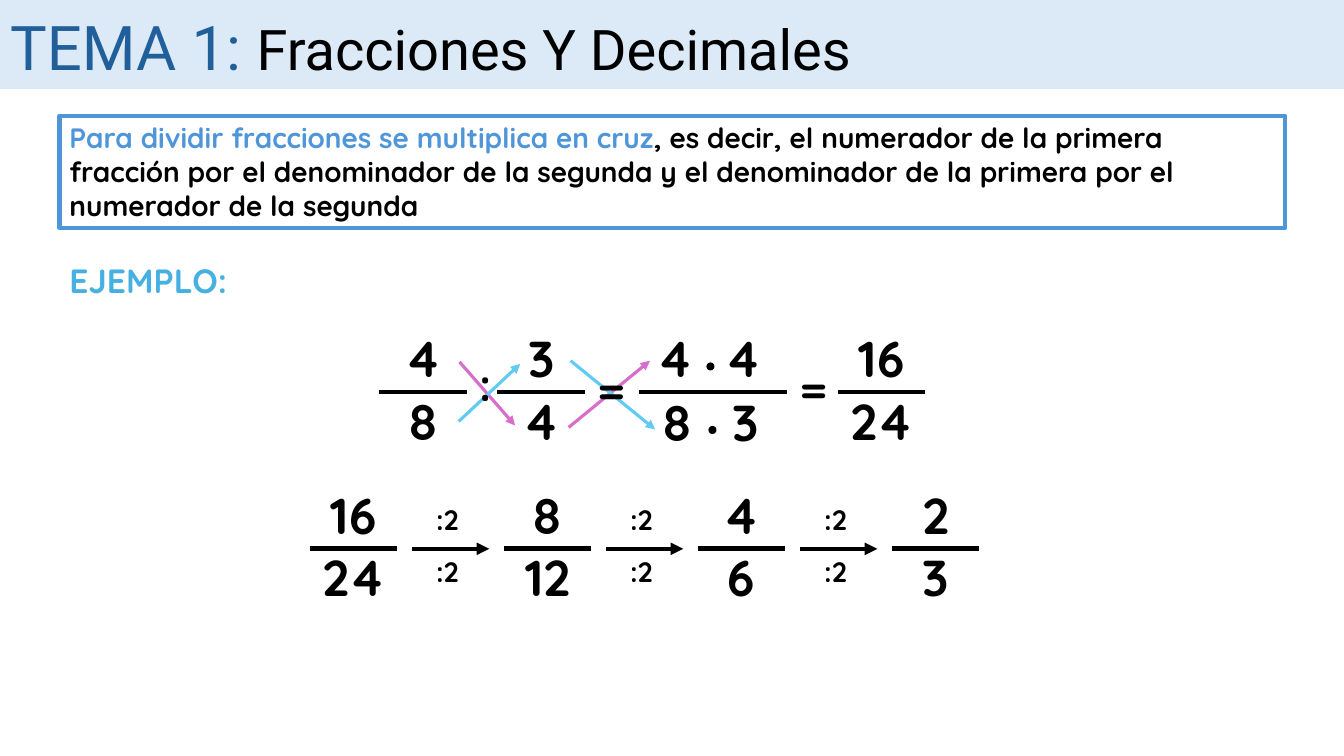
from lxml import etree
from pptx import Presentation
from pptx import util as u
from pptx.dml.color import RGBColor
from pptx.enum import shapes, text
from pptx.oxml.ns import qn

BLACK = "000000"
PINK = "D86ECC"
BLUE = "61CBF4"
BORDER = "4E95D9"


def colour(value):
    return RGBColor.from_string(value)


class Lesson:
    font = "Quicksand"
    number_size = 36
    number_width, number_height = 2.29, 1.8
    bar_drop, denominator_drop = 1.75, 1.57

    def __init__(self, deck):
        self.page = deck.slides.add_slide(deck.slide_layouts[5])

    def shape(self, kind, left, top, width, height, fill=None, line=None, weight=1.5):
        item = self.page.shapes.add_shape(
            kind, u.Cm(left), u.Cm(top), u.Cm(width), u.Cm(height))
        item.shadow.inherit = False
        if fill:
            item.fill.solid()
            item.fill.fore_color.rgb = colour(fill)
        else:
            item.fill.background()
        if line:
            item.line.color.rgb = colour(line)
            item.line.width = u.Pt(weight)
        else:
            item.line.fill.background()
        return item

    def add_spans(self, box, spans, font, align):
        box.text_frame.word_wrap = True
        para = box.text_frame.paragraphs[0]
        para.alignment = align
        for words, size, shade, bold in spans:
            span = para.add_run()
            span.text = words
            span.font.name = font
            span.font.size = u.Pt(size)
            span.font.bold = bold
            span.font.color.rgb = colour(shade)

    def title(self, spans, left, top, width, height):
        box = self.page.shapes.title
        box.left, box.top = u.Cm(left), u.Cm(top)
        box.width, box.height = u.Cm(width), u.Cm(height)
        box.text_frame.auto_size = text.MSO_AUTO_SIZE.NONE
        box.text_frame.vertical_anchor = text.MSO_ANCHOR.MIDDLE
        self.add_spans(box, spans, "Roboto", text.PP_ALIGN.LEFT)
        return box

    def text(self, spans, left, top, width, height, align=text.PP_ALIGN.LEFT):
        box = self.page.shapes.add_textbox(
            u.Cm(left), u.Cm(top), u.Cm(width), u.Cm(height))
        self.add_spans(box, spans, self.font, align)

    def number(self, value, left, top):
        self.text([(value, self.number_size, BLACK, True)], left, top,
                  self.number_width, self.number_height, text.PP_ALIGN.CENTER)

    def operator(self, sign, left, top):
        self.text([(sign, 32, BLACK, True)], left, top, 1.96, 1.63,
                  text.PP_ALIGN.CENTER)

    def line(self, start, end, shade=BLACK, weight=3, arrow=False):
        item = self.page.shapes.add_connector(
            shapes.MSO_CONNECTOR.STRAIGHT, *(u.Cm(n) for n in (*start, *end)))
        item.line.color.rgb = colour(shade)
        item.line.width = u.Pt(weight)
        properties = item.element.spPr
        if arrow:
            etree.SubElement(properties.find(qn("a:ln")), qn("a:tailEnd"), type="triangle")
        etree.SubElement(properties, qn("a:effectLst"))

    def fraction(self, numerator, denominator, left, top):
        self.number(numerator, left, top)
        self.line((left + 0.03, top + self.bar_drop), (left + 2.24, top + self.bar_drop))
        self.number(denominator, left, top + self.denominator_drop)

    def product(self, first, second, left, top):
        self.number(first, left, top)
        self.number(second, left + 1.72, top)
        self.shape(shapes.MSO_SHAPE.OVAL, left + 1.95, top + 1.03, 0.15, 0.15,
                   BLACK, BLACK)

    def reduction(self, divisor, left, top):
        self.line((left, top + 1.76), (left + 1.94, top + 1.76), arrow=True)
        for drop in (0.48, 1.77):
            self.text([(divisor, 20, BLACK, True)], left + 0.35, top + drop, 1.24, 1.12)


def main():
    deck = Presentation()
    deck.slide_width, deck.slide_height = u.Cm(33.87), u.Cm(19.05)
    lesson = Lesson(deck)

    band = lesson.shape(shapes.MSO_SHAPE.RECTANGLE, 0, 0, 33.87, 2.24, "DCEAF7")
    heading = lesson.title([("TEMA 1: ", 44, "215F9A", False),
                            ("Fracciones Y Decimales", 40, BLACK, False)],
                           0, 0.1, 30.1, 2.13)
    band.element.addnext(heading.element)

    rule_area = (1.5, 2.92, 30.89, 2.82)
    lesson.shape(shapes.MSO_SHAPE.RECTANGLE, *rule_area, line=BORDER, weight=3)
    lesson.text([
        ("Para dividir fracciones se multiplica en cruz", 20, BORDER, True),
        (", es decir, el numerador de la primera fracción por el denominador "
         "de la segunda y el denominador de la primera por el numerador de la segunda",
         20, BLACK, True)], *rule_area)
    lesson.text([("EJEMPLO:", 24, "46B1E1", True)], 1.5, 6.43, 5.44, 1.27)

    for start, end, shade in (
            ((11.58, 9.12), (12.98, 10.72), PINK),
            ((11.56, 10.62), (13.11, 9.17), BLUE),
            ((14.33, 10.77), (16.38, 9.09), PINK),
            ((14.38, 9.09), (16.51, 10.82), BLUE)):
        lesson.line(start, end, shade, 2.25, arrow=True)

    division_top = 8.13
    for numerator, denominator, left in (
            ("4", "8", 9.53), ("3", "4", 12.5), ("16", "24", 21.08)):
        lesson.fraction(numerator, denominator, left, division_top)
    lesson.product("4", "4", 15.88, division_top)
    lesson.line((16.1, 9.88), (19.84, 9.88))
    lesson.product("8", "3", 15.93, division_top + 1.6)
    for sign, left, top in ((":", 11.25, 8.86), ("=", 14.43, 8.99), ("=", 19.53, 8.97)):
        lesson.operator(sign, left, top)

    simplify_left, simplify_top, step = 7.77, 12.07, 4.89
    steps = (("16", "24"), ("8", "12"), ("4", "6"), ("2", "3"))
    for index, (numerator, denominator) in enumerate(steps):
        left = simplify_left + index * step
        lesson.fraction(numerator, denominator, left, simplify_top)
        if index < len(steps) - 1:
            lesson.reduction(":2", left + 2.62, simplify_top)

    deck.save("out.pptx")


if __name__ == "__main__":
    main()
